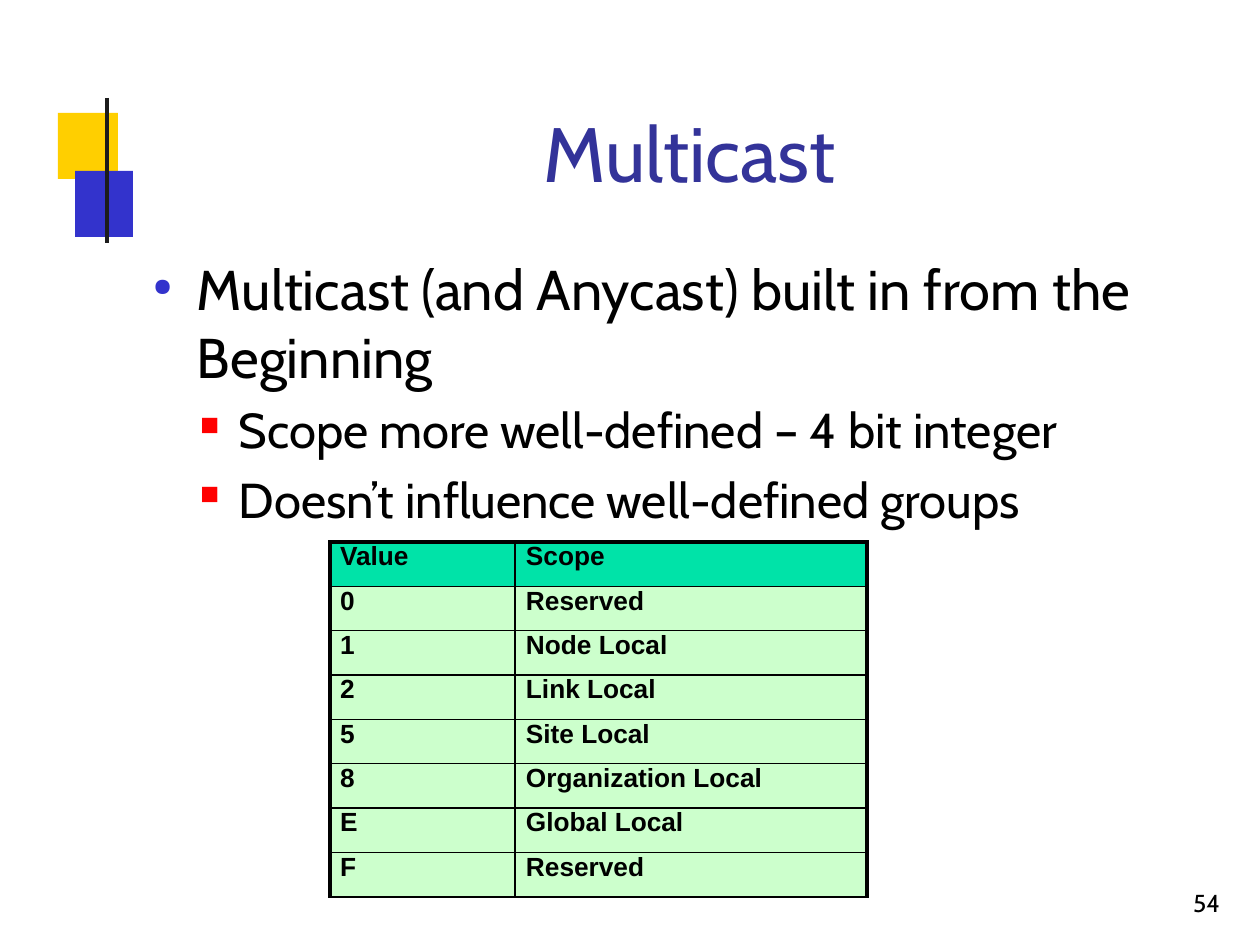
from lxml.etree import SubElement
from pptx import Presentation
from pptx.dml.color import RGBColor
from pptx.enum.shapes import MSO_CONNECTOR, MSO_SHAPE
from pptx.enum.text import MSO_ANCHOR, PP_ALIGN
from pptx.oxml.ns import qn
from pptx.util import Pt

PX = 914400 / 126


def px(*lengths):
    """Turn pixel lengths into a list of EMU."""
    return [round(length * PX) for length in lengths]


def style_text(frame, font, size, color, bold=False):
    frame.margin_left = frame.margin_top = frame.margin_right = frame.margin_bottom = 0
    frame.word_wrap = True
    frame.vertical_anchor = MSO_ANCHOR.TOP
    for para in frame.paragraphs:
        for span in para.runs:
            span.font.name = font
            span.font.size = Pt(size)
            span.font.bold = bold
            span.font.color.rgb = RGBColor.from_string(color)


deck = Presentation()
deck.slide_width, deck.slide_height = px(1260, 945)
page = deck.slides.add_slide(deck.slide_layouts[5])

# Corner ornament
for area, color in [((58, 113, 60, 66), "FFCF00"), ((75, 171, 58, 66), "3333CC")]:
    square = page.shapes.add_shape(MSO_SHAPE.RECTANGLE, *px(*area))
    square.shadow.inherit = False
    square.fill.solid()
    square.fill.fore_color.rgb = RGBColor.from_string(color)
    square.line.fill.background()
rule = page.shapes.add_connector(MSO_CONNECTOR.STRAIGHT, *px(107, 98, 107, 243))
rule.line.color.rgb = RGBColor.from_string("1C1C1C")
rule.line.width = Pt(2.5)
SubElement(rule._element.spPr, qn("a:effectLst"))

# Title
title = page.shapes.title
title.left, title.top, title.width, title.height = px(53, 106, 1155, 92)
title.text_frame.text = "Multicast"
style_text(title.text_frame, "Cabin", 44, "333399")
heading = title.text_frame.paragraphs[0]
heading.alignment = PP_ALIGN.CENTER
heading.line_spacing = Pt(52.5)
heading._p.get_or_add_pPr().set("marL", str(px(118)[0]))

# Page number
number = page.shapes.add_textbox(*px(1164, 890, 59, 29))
number.text_frame.text = "54"
style_text(number.text_frame, "Cabin", 14, "000000")
number_para = number.text_frame.paragraphs[0]
number_para.line_spacing = Pt(15.5)
number_para._p.get_or_add_pPr().set("marL", str(px(29)[0]))

# Bulleted text: level, size, left margin, hanging indent, bullet, colour, bullet size
points = [
    ("Multicast (and Anycast) built in from the Beginning", 0),
    ("Scope more well-defined – 4 bit integer", 1),
    ("Doesn’t influence well-defined groups", 1),
]
levels = [(32, 47, -44, "●", "3333CC", 44), (28, 89, -39, "■", "FF0000", 54)]
body = page.shapes.add_textbox(*px(150, 255, 1043, 273))
body.text_frame.text = "\n".join(text for text, level in points)
style_text(body.text_frame, "Cabin", 32, "000000")
for para, (text, level) in zip(body.text_frame.paragraphs, points):
    size, margin, indent, bullet, color, bullet_size = levels[level]
    para.level = level
    para.space_before = Pt(6 * level)
    para.runs[0].font.size = Pt(size)
    props = para._p.get_or_add_pPr()
    props.set("marL", str(px(margin)[0]))
    props.set("indent", str(px(indent)[0]))
    SubElement(SubElement(props, qn("a:buClr")), qn("a:srgbClr"), val=color)
    SubElement(props, qn("a:buSzPct"), val=str(bullet_size * 1000))
    SubElement(props, qn("a:buChar"), char=bullet)

# Scope table
rows = [
    ("Value", "Scope"),
    ("0", "Reserved"),
    ("1", "Node Local"),
    ("2", "Link Local"),
    ("5", "Site Local"),
    ("8", "Organization Local"),
    ("E", "Global Local"),
    ("F", "Reserved"),
]
table = page.shapes.add_table(len(rows), 2, *px(330, 542, 537, 355)).table
table.columns[0].width, table.columns[1].width = px(185, 352)
for r, row in enumerate(rows):
    for c, text in enumerate(row):
        cell = table.cell(r, c)
        cell.margin_left = cell.margin_top = cell.margin_right = cell.margin_bottom = 0
        cell.text_frame.text = text
        style_text(cell.text_frame, "Arial", 15, "000000", bold=True)
        para = cell.text_frame.paragraphs[0]
        para.space_before = Pt(2.6 if r else 2)
        para._p.get_or_add_pPr().set("marL", str(px(11 if c else 10)[0]))
        outer = {"a:lnL": c == 0, "a:lnR": c == 1, "a:lnT": r == 0, "a:lnB": False}
        for tag, thick in outer.items():
            width = Pt(2.25 if thick else 1)
            border = SubElement(cell._tc.get_or_add_tcPr(), qn(tag), w=str(width))
            SubElement(SubElement(border, qn("a:solidFill")), qn("a:srgbClr"), val="000000")
        cell.fill.solid()
        cell.fill.fore_color.rgb = RGBColor.from_string("CCFFCC" if r else "00E3A8")

deck.save("out.pptx")
